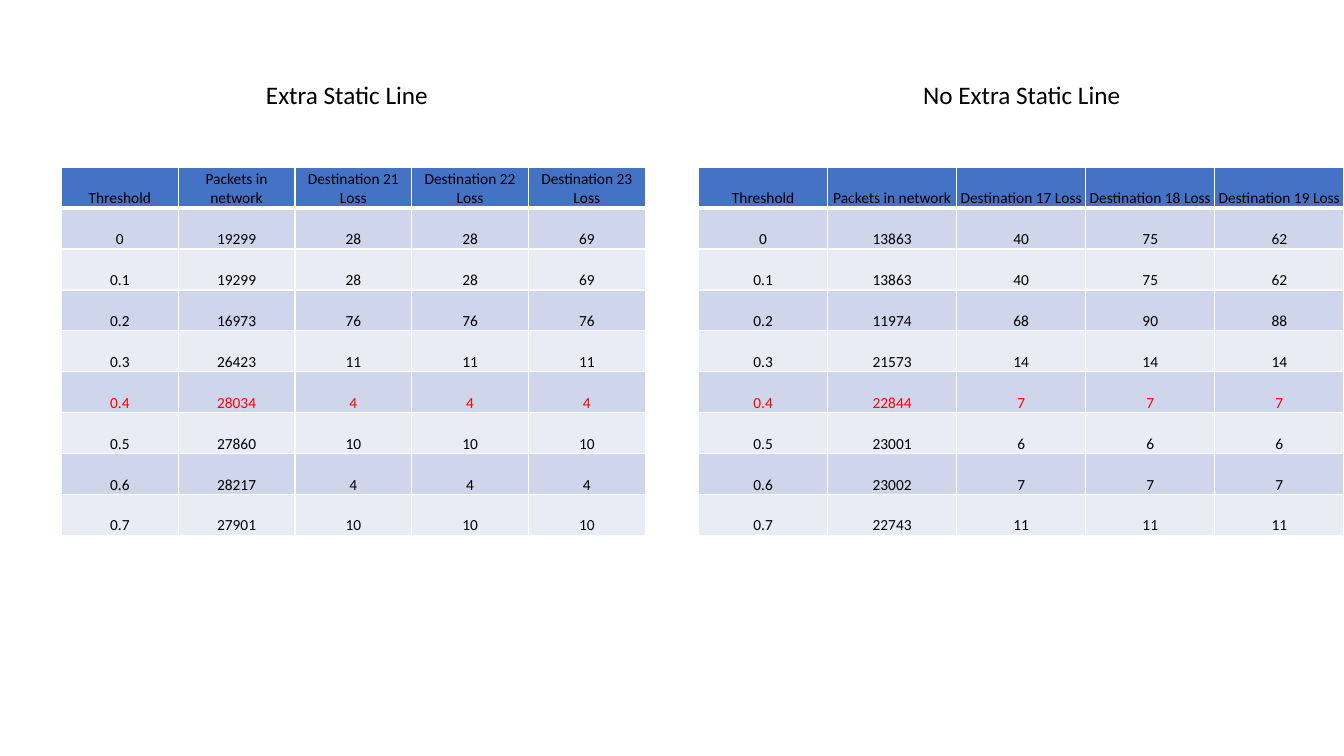
from lxml.etree import SubElement
from pptx import Presentation
from pptx.dml.color import RGBColor
from pptx.enum.text import MSO_ANCHOR as Anchor, PP_ALIGN as Align
from pptx.oxml.ns import qn
from pptx.util import Pt

THRESHOLDS = ("0", "0.1", "0.2", "0.3", "0.4", "0.5", "0.6", "0.7")
BEST_THRESHOLD = "0.4"

# Each result row: packets in network, then the loss at three destinations
RUNS = [
    {
        "heading": "Extra Static Line", "heading_left": 182.9,
        "left": 43.9, "column_width": 83.4, "destinations": (21, 22, 23),
        "results": [
            (19299, 28, 28, 69), (19299, 28, 28, 69),
            (16973, 76, 76, 76), (26423, 11, 11, 11),
            (28034, 4, 4, 4), (27860, 10, 10, 10),
            (28217, 4, 4, 4), (27901, 10, 10, 10),
        ],
    },
    {
        "heading": "No Extra Static Line", "heading_left": 652.3,
        "left": 499, "column_width": 92.2, "destinations": (17, 18, 19),
        "results": [
            (13863, 40, 75, 62), (13863, 40, 75, 62),
            (11974, 68, 90, 88), (21573, 14, 14, 14),
            (22844, 7, 7, 7), (23001, 6, 6, 6),
            (23002, 7, 7, 7), (22743, 11, 11, 11),
        ],
    },
]

HEADING_TOP, HEADING_WIDTH, HEADING_HEIGHT = 53.3, 278, 29
TABLE_TOP, ROW_HEIGHT = 119.5, 29.2
HEADER_FILL, BAND_FILLS = "4472C4", ("CFD5EA", "E9EBF5")
BLACK, RED, WHITE = "000000", "FF0000", "FFFFFF"


def rgb(value):
    return RGBColor.from_string(value)


def write(frame, text, size=11, color=BLACK, align=Align.CENTER):
    paragraph = frame.paragraphs[0]
    paragraph.alignment = align
    run = paragraph.add_run()
    run.text = text
    font = run.font
    font.name, font.size, font.bold = "Calibri", Pt(size), False
    font.color.rgb = rgb(color)


def set_borders(cell, bottom):
    properties = cell._tc.get_or_add_tcPr()
    for side, width in (("lnL", 1), ("lnR", 1), ("lnT", 1), ("lnB", bottom)):
        line = SubElement(properties, qn(f"a:{side}"), w=str(Pt(width)))
        fill = SubElement(line, qn("a:solidFill"))
        SubElement(fill, qn("a:srgbClr"), val=WHITE)


def add_heading(slide, run):
    box = slide.shapes.add_textbox(Pt(run["heading_left"]), Pt(HEADING_TOP),
                                   Pt(HEADING_WIDTH), Pt(HEADING_HEIGHT))
    box.text_frame.word_wrap = True
    write(box.text_frame, run["heading"], size=18, align=Align.LEFT)


def add_loss_table(slide, run):
    header = ["Threshold", "Packets in network"]
    header += [f"Destination {number} Loss" for number in run["destinations"]]
    rows = [header] + [(threshold, *result) for threshold, result
                       in zip(THRESHOLDS, run["results"])]
    table = slide.shapes.add_table(
        len(rows), len(header), Pt(run["left"]), Pt(TABLE_TOP),
        Pt(run["column_width"] * len(header)), Pt(ROW_HEIGHT * len(rows))).table
    for column in table.columns:
        column.width = Pt(run["column_width"])

    for r, values in enumerate(rows):
        table.rows[r].height = Pt(ROW_HEIGHT)
        row_fill = BAND_FILLS[(r - 1) % 2] if r else HEADER_FILL
        color = RED if values[0] == BEST_THRESHOLD else BLACK
        for c, value in enumerate(values):
            cell = table.cell(r, c)
            set_borders(cell, bottom=1 if r else 3)
            cell.fill.solid()
            cell.fill.fore_color.rgb = rgb(row_fill)
            cell.vertical_anchor = Anchor.BOTTOM
            cell.margin_left = cell.margin_right = cell.margin_top = Pt(0.7)
            cell.margin_bottom = Pt(0)
            write(cell.text_frame, str(value), color=color)


def main():
    deck = Presentation()
    deck.slide_width, deck.slide_height = Pt(960), Pt(540)
    slide = deck.slides.add_slide(deck.slide_layouts[6])
    for run in RUNS:
        add_heading(slide, run)
        add_loss_table(slide, run)
    deck.save("out.pptx")


if __name__ == "__main__":
    main()
